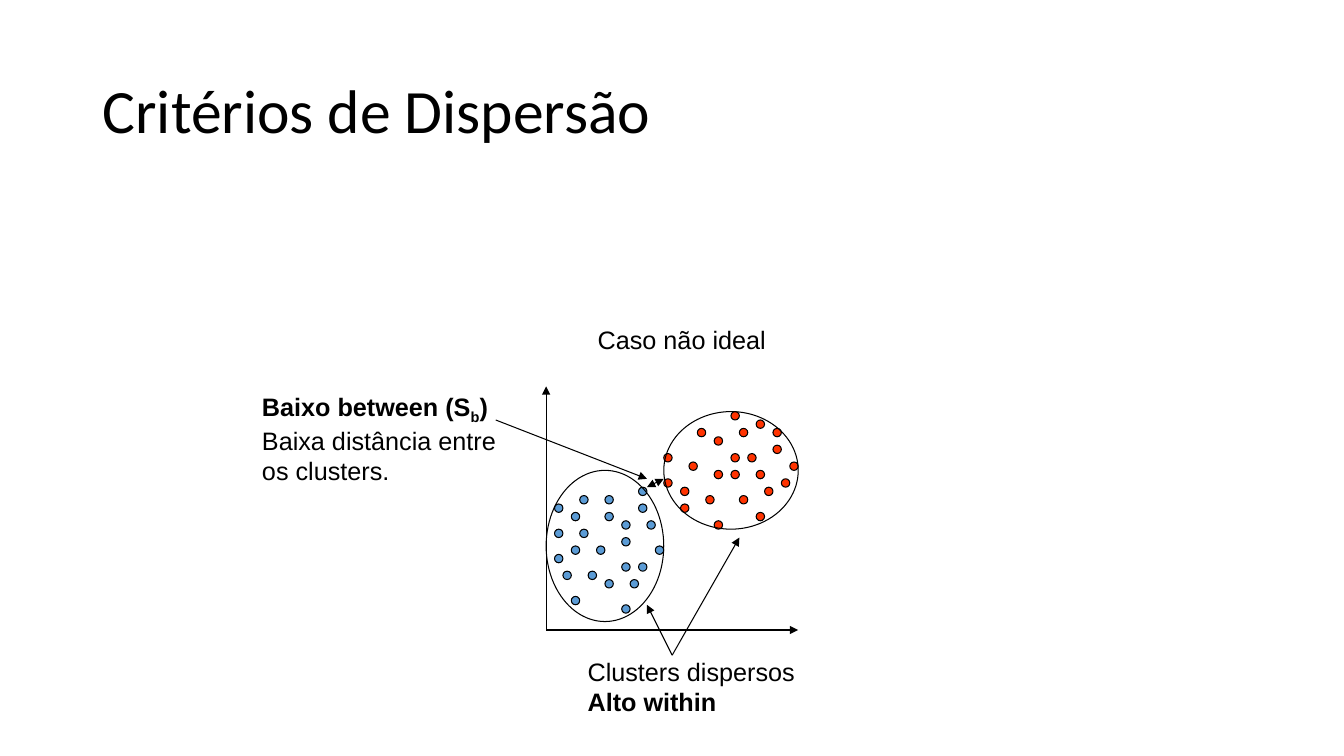
from dataclasses import dataclass

from lxml import etree
from pptx import Presentation
from pptx.dml.color import RGBColor
from pptx.enum.shapes import MSO_CONNECTOR, MSO_SHAPE
from pptx.enum.text import MSO_ANCHOR, MSO_AUTO_SIZE
from pptx.oxml.ns import qn
from pptx.util import Inches, Length, Pt

BLACK = RGBColor(0x00, 0x00, 0x00)
BLUE = RGBColor(0x5B, 0x9B, 0xD5)
RED = RGBColor(0xFF, 0x33, 0x00)
ELLIPSE = MSO_SHAPE.OVAL
STRAIGHT = MSO_CONNECTOR.STRAIGHT
MIDDLE = MSO_ANCHOR.MIDDLE
FIT_SHAPE = MSO_AUTO_SIZE.SHAPE_TO_FIT_TEXT
LINE_WIDTH = Pt(0.75)
STEPS_PER_INCH = 12


@dataclass(frozen=True)
class Cluster:
    left: int
    top: int
    width: int
    height: int
    color: RGBColor
    points: tuple[tuple[int, int], ...]


@dataclass(frozen=True)
class Arrow:
    start: tuple[int, int]
    end: tuple[int, int]
    double: bool = False


@dataclass(frozen=True)
class Span:
    text: str
    bold: bool = False
    subscript: bool = False


@dataclass(frozen=True)
class Label:
    left: float
    top: float
    width: float
    height: float
    paragraphs: tuple[tuple[Span, ...], ...]
    size: int = 18
    font: str = "Arial"


TITLE = Label(0.92, 0.4, 11.5, 1.45, ((Span("Critérios de Dispersão"),),), 44, "Calibri")

LABELS = (
    Label(5.73, 6.46, 2.26, 0.7, (
        (Span("Clusters dispersos"),),
        (Span("Alto within", bold=True),),
    )),
    Label(2.5, 3.83, 2.52, 1, (
        (Span("Baixo between (S", bold=True), Span("b", bold=True, subscript=True),
         Span(")", bold=True)),
        (Span("Baixa distância entre"),),
        (Span("os clusters."),),
    )),
    Label(5.83, 3.17, 1.87, 0.4, ((Span("Caso não ideal"),),)),
)

CLUSTERS = (
    Cluster(65, 56, 14, 18, BLUE, (
        (3, 5), (9, 6), (11, 4), (6, 9), (11, 2), (9, 8), (7, 13), (13, 9),
        (9, 16), (10, 13), (7, 3), (4, 7), (1, 10), (12, 6), (3, 9), (1, 7),
        (3, 15), (2, 12), (7, 5), (4, 3), (9, 11), (5, 12), (1, 4), (11, 11),
    )),
    Cluster(79, 49, 16, 14, RED, (
        (6, 3), (13, 2), (10, 5), (14, 8), (11, 7), (13, 4), (0, 5), (15, 6),
        (11, 12), (6, 13), (11, 1), (4, 2), (5, 10), (9, 10), (8, 0), (6, 7),
        (2, 11), (2, 9), (8, 5), (9, 2), (12, 9), (3, 6), (0, 8), (8, 7),
    )),
)

ARROWS = (
    Arrow((65, 75), (95, 75)),
    Arrow((65, 75), (65, 46)),
    Arrow((77, 58), (79, 57), double=True),
    Arrow((59, 50), (77, 57)),
    Arrow((80, 78), (77, 72)),
    Arrow((80, 78), (88, 64)),
)


def grid(steps: int) -> Length:
    return Inches(steps / STEPS_PER_INCH)


def add_ellipse(slide, left: int, top: int, width: int, height: int,
                color: RGBColor | None = None) -> None:
    ellipse = slide.shapes.add_shape(ELLIPSE, *map(grid, (left, top, width, height)))
    ellipse.shadow.inherit = False
    if color is None:
        ellipse.fill.background()
    else:
        ellipse.fill.solid()
        ellipse.fill.fore_color.rgb = color
    ellipse.line.color.rgb = BLACK
    ellipse.line.width = LINE_WIDTH


def add_arrow(slide, arrow: Arrow) -> None:
    connector = slide.shapes.add_connector(STRAIGHT, *map(grid, arrow.start + arrow.end))
    connector.line.color.rgb = BLACK
    connector.line.width = LINE_WIDTH
    outline = connector.line._get_or_add_ln()
    for end in ("a:headEnd", "a:tailEnd") if arrow.double else ("a:tailEnd",):
        etree.SubElement(outline, qn(end), type="triangle")
    etree.SubElement(connector._element.spPr, qn("a:effectLst"))


def add_label(slide, label: Label):
    box = slide.shapes.add_textbox(
        *map(Inches, (label.left, label.top, label.width, label.height)))
    frame = box.text_frame
    frame.word_wrap = False
    frame.auto_size = FIT_SHAPE
    for index, spans in enumerate(label.paragraphs):
        paragraph = frame.add_paragraph() if index else frame.paragraphs[0]
        for span in spans:
            run = paragraph.add_run()
            run.text = span.text
            run.font.name = label.font
            run.font.size = Pt(label.size)
            run.font.bold = span.bold
            run.font.color.rgb = BLACK
            if span.subscript:
                run.font._element.set("baseline", "-25000")
    return frame


def add_title(slide) -> None:
    frame = add_label(slide, TITLE)
    frame.auto_size = MSO_AUTO_SIZE.NONE
    frame.word_wrap = True
    frame.vertical_anchor = MIDDLE
    frame.paragraphs[0].line_spacing = 0.9


def main() -> None:
    presentation = Presentation()
    presentation.slide_width = Inches(13.33)
    presentation.slide_height = Inches(7.5)
    slide = presentation.slides.add_slide(presentation.slide_layouts[6])
    add_title(slide)
    for cluster in CLUSTERS:
        for column, row in cluster.points:
            add_ellipse(slide, cluster.left + column, cluster.top + row, 1, 1, cluster.color)
    for label in LABELS:
        add_label(slide, label)
    for arrow in ARROWS:
        add_arrow(slide, arrow)
    for cluster in CLUSTERS:
        add_ellipse(slide, cluster.left, cluster.top, cluster.width, cluster.height)
    presentation.save("out.pptx")


if __name__ == "__main__":
    main()
